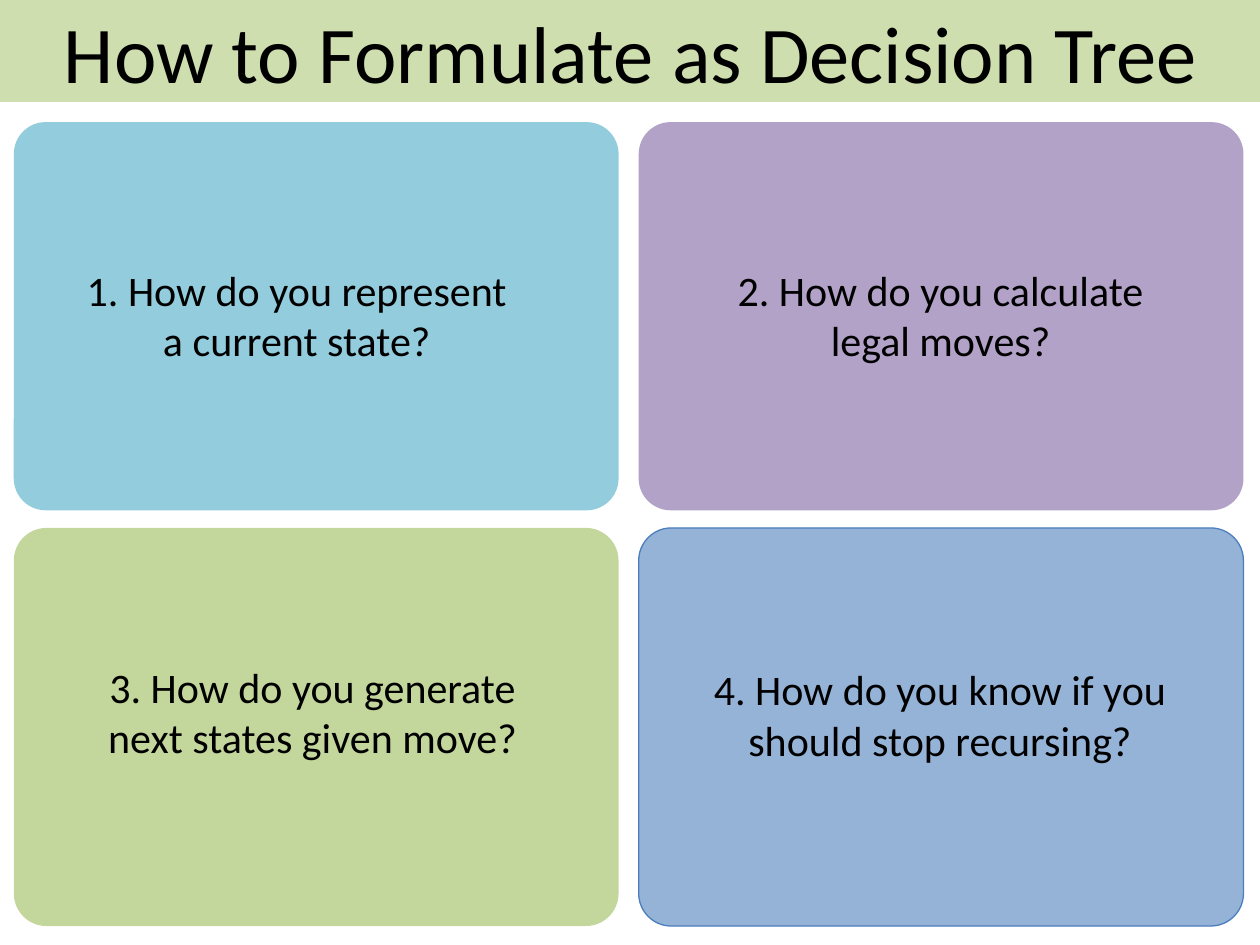
"""Build a slide with four questions for formulating a decision tree."""
from dataclasses import dataclass
from typing import Optional

from lxml.etree import SubElement
from pptx import Presentation
from pptx.dml.color import RGBColor
from pptx.enum.shapes import MSO_SHAPE as Preset
from pptx.enum.text import MSO_ANCHOR as Anchor, MSO_AUTO_SIZE as AutoSize, PP_ALIGN as Align
from pptx.oxml.ns import qn
from pptx.slide import Slide
from pptx.text.text import TextFrame
from pptx.util import Pt

BLACK = RGBColor(0x00, 0x00, 0x00)
GREEN = RGBColor(0xC3, 0xD6, 0x9B)
AQUA = RGBColor(0x93, 0xCD, 0xDD)
PURPLE = RGBColor(0xB3, 0xA2, 0xC7)
BLUE = RGBColor(0x95, 0xB3, 0xD7)
OUTLINE_BLUE = RGBColor(0x4B, 0x7E, 0xBC)

SLIDE_WIDTH, SLIDE_HEIGHT = 720, 540
BANNER_HEIGHT = 58.3
COLUMN_LEFTS = (7.9, 365)
ROWS = ((69.8, 221.8), (301.7, 227.5))
PANEL_WIDTH = 345.6
CORNER = 0.082
QUESTION_HEIGHT = 65.5


@dataclass(frozen=True)
class Question:
    text: str
    column: int
    row: int
    color: RGBColor
    left: float
    top: float
    width: float
    outline: Optional[RGBColor] = None


QUESTIONS = (
    Question("1. How do you represent\na current state?", 0, 0, AQUA, 40.3, 147.6, 258.5),
    Question("2. How do you calculate\nlegal moves?", 1, 0, PURPLE, 412.6, 147.6, 249.8),
    Question("3. How do you generate\nnext states given move?", 0, 1, GREEN, 53.3, 374.4, 250.6),
    Question("4. How do you know if you\nshould stop recursing?", 1, 1, BLUE, 398.9, 375.8, 276.5,
             OUTLINE_BLUE),
)


def write(frame: TextFrame, text: str, *, size: float, anchor: Anchor = Anchor.TOP,
          wrap: bool = False, auto_size: AutoSize = AutoSize.SHAPE_TO_FIT_TEXT) -> None:
    frame.text = text
    frame.word_wrap = wrap
    frame.auto_size = auto_size
    frame.vertical_anchor = anchor
    for paragraph in frame.paragraphs:
        paragraph.alignment = Align.CENTER
        for run in paragraph.runs:
            run.font.name = "Calibri"
            run.font.size = Pt(size)
            run.font.color.rgb = BLACK


def draw_banner(slide: Slide, text: str) -> None:
    banner = slide.shapes.title
    banner.left, banner.top = Pt(0), Pt(0)
    banner.width, banner.height = Pt(SLIDE_WIDTH), Pt(BANNER_HEIGHT)
    banner.fill.solid()
    banner.fill.fore_color.rgb = GREEN
    fill_color = next(banner.element.spPr.iter(qn("a:srgbClr")))
    SubElement(fill_color, qn("a:alpha"), val="80000")
    write(banner.text_frame, text, size=46, anchor=Anchor.MIDDLE, wrap=True,
          auto_size=AutoSize.NONE)


def draw_panel(slide: Slide, question: Question) -> None:
    top, height = ROWS[question.row]
    panel = slide.shapes.add_shape(Preset.ROUNDED_RECTANGLE, Pt(COLUMN_LEFTS[question.column]),
                                   Pt(top), Pt(PANEL_WIDTH), Pt(height))
    panel.adjustments[0] = CORNER
    panel.shadow.inherit = False
    panel.fill.solid()
    panel.fill.fore_color.rgb = question.color
    if question.outline is None:
        panel.line.fill.background()
    else:
        panel.line.color.rgb = question.outline
        panel.line.width = Pt(0.75)


def draw_question(slide: Slide, question: Question) -> None:
    label = slide.shapes.add_textbox(Pt(question.left), Pt(question.top),
                                     Pt(question.width), Pt(QUESTION_HEIGHT))
    write(label.text_frame, question.text, size=24)


def main() -> None:
    deck = Presentation()
    deck.slide_width, deck.slide_height = Pt(SLIDE_WIDTH), Pt(SLIDE_HEIGHT)
    slide = deck.slides.add_slide(deck.slide_layouts.get_by_name("Title Only"))
    draw_banner(slide, "How to Formulate as Decision Tree")
    for question in QUESTIONS:
        draw_panel(slide, question)
        draw_question(slide, question)
    deck.save("out.pptx")


if __name__ == "__main__":
    main()
